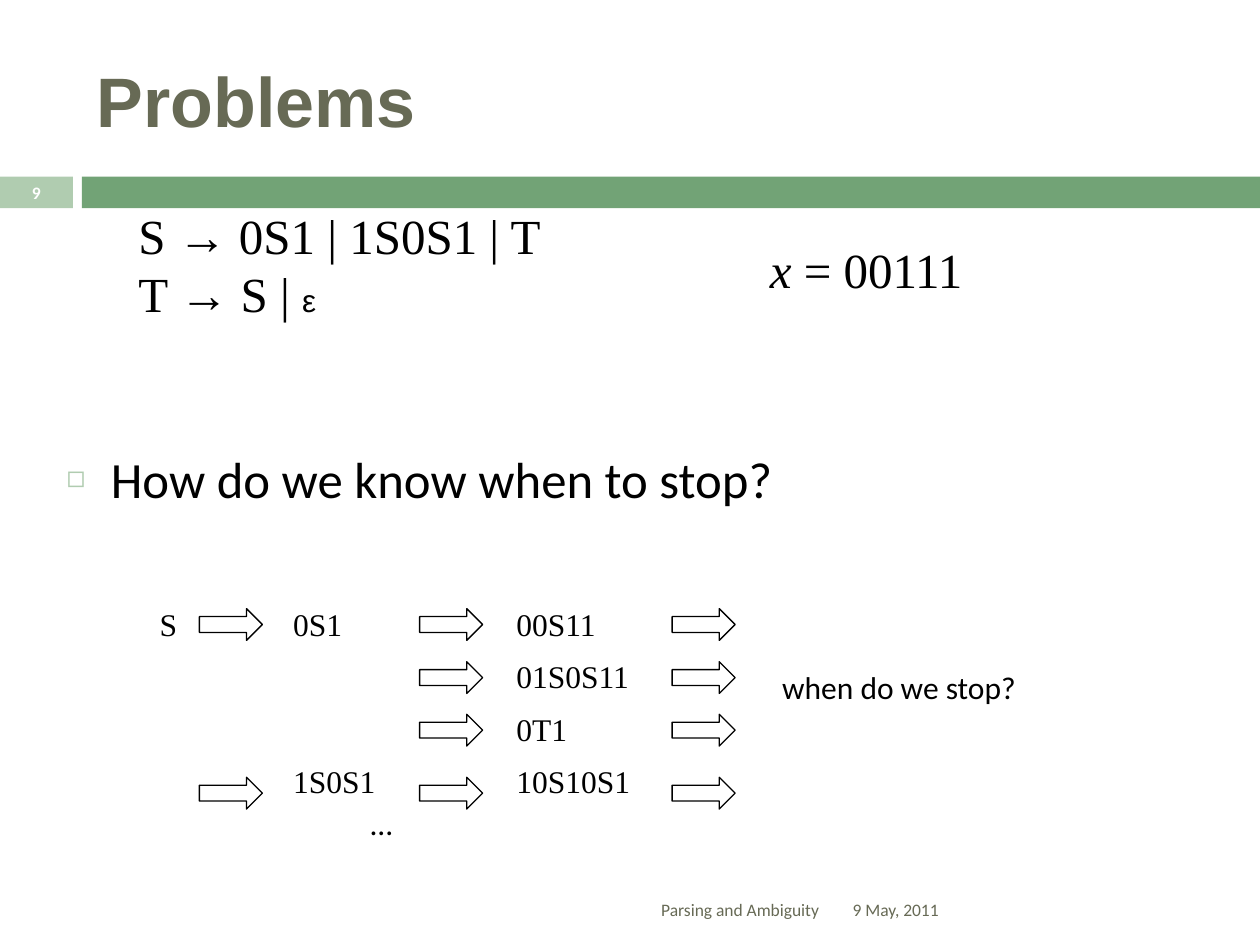
from lxml.etree import SubElement
from pptx import Presentation
from pptx.dml.color import RGBColor
from pptx.enum.shapes import MSO_SHAPE as Shape
from pptx.enum.text import MSO_ANCHOR as Anchor, MSO_AUTO_SIZE as AutoSize, PP_ALIGN as Align
from pptx.oxml.ns import qn
from pptx.util import Cm, Pt

THEME = {
    "ink": RGBColor.from_string("000000"),
    "olive": RGBColor.from_string("676A55"),
    "green": RGBColor.from_string("72A376"),
    "pale": RGBColor.from_string("B0CCB0"),
    "white": RGBColor.from_string("FFFFFF"),
    "title": Pt(40), "list": Pt(29), "grammar": Pt(28), "step": Pt(18), "footer": Pt(10),
}
SERIF, SANS, HEAD = "Times New Roman", "Calibri", "Arial"


def add_runs(paragraph, runs, align=Align.LEFT):
    """Append (text, font attributes) pairs; the "color" entry sets the RGB colour."""
    paragraph.alignment = align
    for text, style in runs:
        run = paragraph.add_run()
        run.text = text
        for name, value in style.items():
            if name == "color":
                run.font.color.rgb = value
            else:
                setattr(run.font, name, value)


def add_text(left, top, width, height, lines, align=Align.LEFT, grow=True):
    box = slide.shapes.add_textbox(Cm(left), Cm(top), Cm(width), Cm(height))
    frame = box.text_frame
    frame.word_wrap = not grow
    frame.auto_size = AutoSize.SHAPE_TO_FIT_TEXT if grow else AutoSize.NONE
    frame.vertical_anchor = Anchor.TOP if grow else Anchor.MIDDLE
    for index, runs in enumerate(lines):
        paragraph = frame.add_paragraph() if index else frame.paragraphs[0]
        add_runs(paragraph, runs, align)


grammar = {"name": SERIF, "size": THEME["grammar"], "color": THEME["ink"]}
step = {**grammar, "size": THEME["step"]}
remark = {**step, "name": SANS}
footer = {"name": SANS, "size": THEME["footer"], "color": THEME["olive"]}

presentation = Presentation()
presentation.slide_width, presentation.slide_height = Cm(25.4), Cm(19.05)
slide = presentation.slides.add_slide(presentation.slide_layouts[1])

# Band under the title
for left, width, color in [(0, 1.47, "pale"), (1.65, 23.75, "green")]:
    bar = slide.shapes.add_shape(Shape.RECTANGLE, Cm(left), Cm(3.56), Cm(width), Cm(0.64))
    bar.shadow.inherit = False
    bar.fill.solid()
    bar.fill.fore_color.rgb = THEME[color]
    bar.line.fill.background()

# Title and question
title, body = slide.shapes.title, slide.placeholders[1]
for placeholder, box, anchor in [
    (title, (1.7, 0.64, 22.66, 2.74), Anchor.MIDDLE),
    (body, (1.09, 8.89, 23.22, 1.9), Anchor.TOP),
]:
    for name, value in zip(("left", "top", "width", "height"), box):
        setattr(placeholder, name, Cm(value))
    placeholder.text_frame.auto_size = AutoSize.NONE
    placeholder.text_frame.vertical_anchor = anchor

add_runs(title.text_frame.paragraphs[0], [
    ("Problems", {"name": HEAD, "size": THEME["title"], "bold": True, "color": THEME["olive"]})])

question = body.text_frame.paragraphs[0]
question.space_before = Pt(0)
properties = question._p.get_or_add_pPr()
properties.set("marL", str(Cm(0.89)))
properties.set("indent", str(-Cm(0.89)))
bullet_color = SubElement(properties, qn("a:buClr"))
SubElement(bullet_color, qn("a:srgbClr"), val=str(THEME["pale"]))
SubElement(properties, qn("a:buSzPct"), val="60000")
SubElement(properties, qn("a:buChar"), char="◻")
add_runs(question, [("How do we know when to stop?", {**remark, "size": THEME["list"]})])

# Grammar and input
add_text(2.54, 4.01, 8.79, 2.62, [
    [("S → 0S1 | 1S0S1 | T", grammar)],
    [("T → S | ", grammar), ("ε", {**step, "name": HEAD})],
])
add_text(15.27, 4.7, 4.47, 1.45, [[("x", {**grammar, "italic": True}), (" = 00111", grammar)]])

# Derivations: text top, arrow top, first and second sentential form of each row
rows = [
    (12.07, 12.27, "0S1", "00S11"),
    (13.13, 13.34, "", "01S0S11"),
    (14.18, 14.4, "", "0T1"),
    (15.24, 15.67, "1S0S1", "10S10S1"),
]
add_text(2.97, rows[0][0], 0.91, 1.27, [[("S", step)]])
for text_top, arrow_top, first, second in rows:
    arrow_lefts = [8.46, 13.55]
    if first:
        arrow_lefts.insert(0, 4.02)
        add_text(5.66, text_top, 2.5, 1.27, [[(first, step)]])
    add_text(10.16, text_top, 3.3, 1.27, [[(second, step)]])
    for left in arrow_lefts:
        arrow = slide.shapes.add_shape(
            Shape.RIGHT_ARROW, Cm(left), Cm(arrow_top), Cm(1.27), Cm(0.64))
        arrow.shadow.inherit = False
        arrow.fill.background()
        arrow.line.color.rgb = THEME["ink"]
        arrow.line.width = Pt(0.75)
add_text(7.2, 16.09, 1.22, 1.27, [[("...", remark)]])
add_text(15.52, 13.34, 7.34, 1.27, [[("when do we stop?", remark)]])

# Footer and slide number
add_text(16.94, 17.83, 7.42, 1.02, [[("9 May, 2011", footer)]], grow=False)
add_text(1.7, 17.83, 15.06, 1.02, [[("Parsing and Ambiguity", footer)]], Align.RIGHT, grow=False)
add_text(0, 3.53, 1.47, 0.69, [[("9", {**footer, "bold": True, "color": THEME["white"]})]],
         Align.CENTER, grow=False)

presentation.save("out.pptx")
